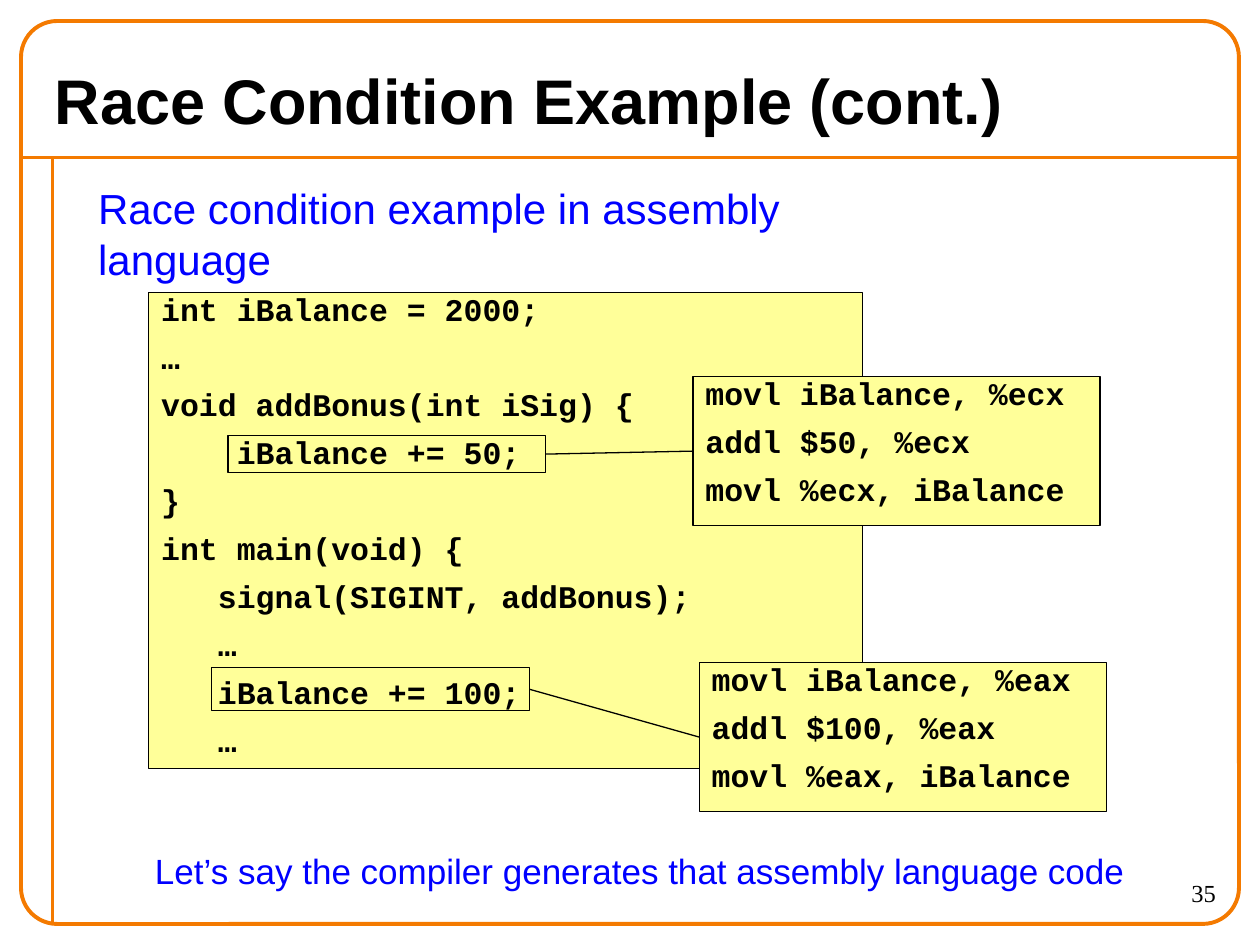
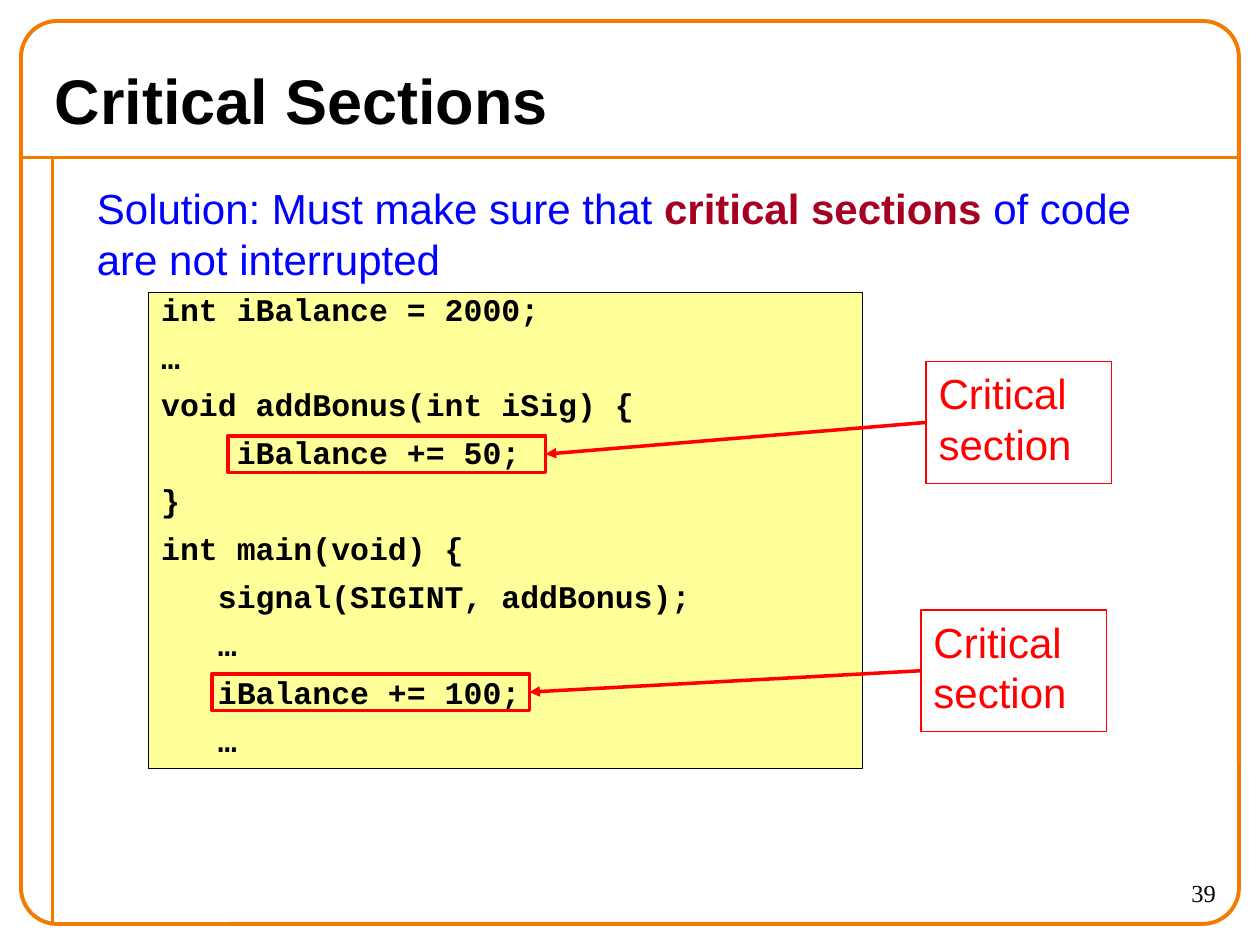
from lxml import etree
from pptx import Presentation
from pptx.dml.color import RGBColor
from pptx.enum.shapes import MSO_CONNECTOR, MSO_SHAPE
from pptx.enum.text import MSO_ANCHOR, MSO_AUTO_SIZE, PP_ALIGN
from pptx.oxml.ns import qn
from pptx.util import Pt

STRAIGHT = MSO_CONNECTOR.STRAIGHT
RECTANGLE, ROUNDED = MSO_SHAPE.RECTANGLE, MSO_SHAPE.ROUNDED_RECTANGLE
TOP, MIDDLE = MSO_ANCHOR.TOP, MSO_ANCHOR.MIDDLE
LEFT, RIGHT = PP_ALIGN.LEFT, PP_ALIGN.RIGHT
NO_AUTOFIT = MSO_AUTO_SIZE.NONE
LEFT_SIDE, RIGHT_SIDE = 1, 3
TITLE_ONLY = 5

BLACK, BLUE, RED, MAROON = "000000", "0000FF", "FF0000", "A50021"
ORANGE, YELLOW = "F47A00", "FFFF99"

CODE_LINES = [
    "int iBalance = 2000;",
    "…",
    "void addBonus(int iSig) {",
    "    iBalance += 50;",
    "}",
    "int main(void) {",
    "   signal(SIGINT, addBonus);",
    "   …",
    "   iBalance += 100;",
    "   …",
]
CODE_BOX = (85, 167, 408, 272)
BONUS_LINE_BOX = (130.3, 249, 181.5, 21)

CODE_STYLE = dict(size=18, font="Courier New", bold=True, line_spacing=0.75, space_before=11.2)
NOTE_STYLE = dict(size=24, color=RED)

SLIDES = [
    dict(
        title="Race Condition Example (cont.)",
        number="35",
        texts=[
            ((49, 101, 490, 65), ["Race condition example in assembly language"], 24),
            ((81.5, 481.7, 585, 32),
             ["Let’s say the compiler generates that assembly language code"], 20),
        ],
        callouts=[
            ((121, 381.6, 181.5, 24.5), (399.6, 378.7, 232.6, 85),
             ["movl iBalance, %eax", "addl $100, %eax", "movl %eax, iBalance"]),
            (BONUS_LINE_BOX, (396, 215.3, 232.6, 85),
             ["movl iBalance, %ecx", "addl $50, %ecx", "movl %ecx, iBalance"]),
        ],
        callout_fill=YELLOW, line_color=BLACK, line_width=0.75,
        text_style=CODE_STYLE, arrow=False,
    ),
    dict(
        title="Critical Sections",
        number="39",
        texts=[
            ((48.3, 101, 630, 65), [
                [("Solution: Must make sure that ", {}),
                 ("critical sections", dict(color=MAROON, bold=True)),
                 (" of code", {})],
                "are not interrupted",
            ], 24),
        ],
        callouts=[
            ((121, 385, 181.5, 21), (526.3, 348.5, 106, 69.6), ["Critical section"]),
            (BONUS_LINE_BOX, (529.2, 206.6, 106, 69.6), ["Critical section"]),
        ],
        callout_fill=None, line_color=RED, line_width=2,
        text_style=NOTE_STYLE, arrow=True,
    ),
]


def rgb(value):
    return RGBColor.from_string(value)


def points(values):
    return [Pt(value) for value in values]


def write_text(frame, paragraphs, size=24, font="Arial", color=BLACK, bold=False,
               align=LEFT, anchor=TOP, line_spacing=None, space_before=0):
    frame.word_wrap = True
    frame.auto_size = NO_AUTOFIT
    frame.vertical_anchor = anchor
    for index, content in enumerate(paragraphs):
        paragraph = frame.add_paragraph() if index else frame.paragraphs[0]
        paragraph.alignment = align
        paragraph.space_before = Pt(space_before if index else 0)
        if line_spacing:
            paragraph.line_spacing = line_spacing
        runs = [(content, {})] if isinstance(content, str) else content
        for text, changes in runs:
            run = paragraph.add_run()
            run.text = text
            run.font.name = font
            run.font.size = Pt(size)
            run.font.bold = changes.get("bold", bold)
            run.font.color.rgb = rgb(changes.get("color", color))


def add_text(slide, box, paragraphs, **style):
    shape = slide.shapes.add_textbox(*points(box))
    write_text(shape.text_frame, paragraphs, **style)


def add_box(slide, box, line_color, line_width=0.75, fill=None, kind=RECTANGLE):
    shape = slide.shapes.add_shape(kind, *points(box))
    shape.shadow.inherit = False
    if fill:
        shape.fill.solid()
        shape.fill.fore_color.rgb = rgb(fill)
    else:
        shape.fill.background()
    shape.line.color.rgb = rgb(line_color)
    shape.line.width = Pt(line_width)
    return shape


def add_line(slide, ends, color, width):
    connector = slide.shapes.add_connector(STRAIGHT, *points(ends))
    connector.line.color.rgb = rgb(color)
    connector.line.width = Pt(width)
    etree.SubElement(connector._element.spPr, qn("a:effectLst"))
    return connector


def add_frame(slide, title, number):
    add_line(slide, (12, 90, 708, 90), ORANGE, 2.25)
    add_line(slide, (30, 90, 30, 528), ORANGE, 2.25)
    border = add_box(slide, (12, 12, 696, 516), ORANGE, 2.25, kind=ROUNDED)
    border.adjustments[0] = 0.04
    add_text(slide, (630, 498, 72, 30), [number], size=14,
             font="Times New Roman", align=RIGHT)
    heading = slide.shapes.title
    heading.left, heading.top, heading.width, heading.height = points((24, 30, 635, 54))
    write_text(heading.text_frame, [title], size=36, bold=True, anchor=MIDDLE)


def add_callout(slide, content, highlight_box, callout_box, lines):
    color, width = content["line_color"], content["line_width"]
    callout = add_box(slide, callout_box, color, fill=content["callout_fill"])
    write_text(callout.text_frame, lines, **content["text_style"])
    highlight = add_box(slide, highlight_box, color, width)
    connector = add_line(slide, (0, 0, 0, 0), color, width)
    connector.begin_connect(callout, LEFT_SIDE)
    connector.end_connect(highlight, RIGHT_SIDE)
    if content["arrow"]:
        etree.SubElement(connector.line._get_or_add_ln(), qn("a:tailEnd"), type="triangle")


def build_slide(presentation, content):
    slide = presentation.slides.add_slide(presentation.slide_layouts[TITLE_ONLY])
    add_frame(slide, content["title"], content["number"])
    code = add_box(slide, CODE_BOX, BLACK, fill=YELLOW)
    write_text(code.text_frame, CODE_LINES, **CODE_STYLE)
    for box, paragraphs, size in content["texts"]:
        add_text(slide, box, paragraphs, size=size, color=BLUE)
    for callout in content["callouts"]:
        add_callout(slide, content, *callout)


def main():
    presentation = Presentation()
    presentation.slide_width, presentation.slide_height = Pt(720), Pt(540)
    for content in SLIDES:
        build_slide(presentation, content)
    presentation.save("out.pptx")


if __name__ == "__main__":
    main()
